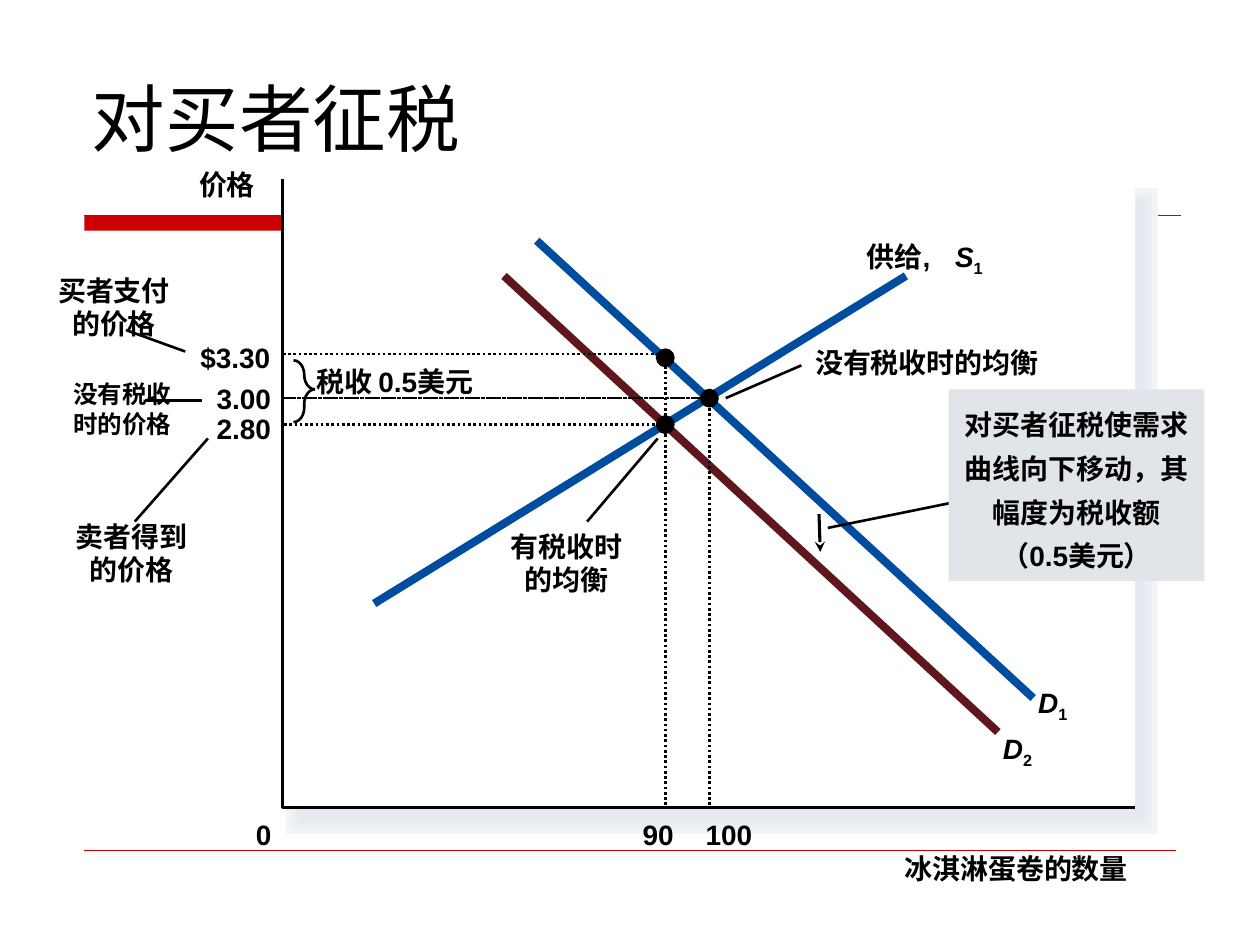
from lxml.etree import SubElement
from pptx import Presentation
from pptx.dml.color import RGBColor
from pptx.enum.dml import MSO_LINE
from pptx.enum.shapes import MSO_CONNECTOR, MSO_SHAPE
from pptx.enum.text import MSO_ANCHOR, MSO_AUTO_SIZE, PP_ALIGN
from pptx.oxml.ns import qn
from pptx.util import Inches, Pt

THEME = dict(
    ink="000000", paper="FFFFFF", accent="CC0000", callout="E1E5E9",
    blue="004C9F", maroon="5F161D",
    shadow=["F3F6F9", "F2F4F8", "F1F4F7", "F0F2F5", "EEF1F4", "EDEFF3",
            "EBEEF2", "EAECF1", "E9EBF0", "E7EAEF", "E6E9EF"],
    font="Arial", title_font="DejaVu Sans", small_font="Times New Roman",
    title=42, body=16, small=14, rule=1.5, curve=4.62,
)

TITLE = "对买者征税"
PLOT = (2.24, 1.42, 6.77, 4.99)
SHADOW = (2.39, 1.61, 6.68, 4.89)
BASE = 6.39

# Positions of the axis values
Q = {90: 5.28, 100: 5.63}
P = {3.30: 2.81, 3.00: 3.16, 2.80: 3.37}

CURVES = [  # from, to, colour
    ((4.26, 1.91), (8.2, 5.54), "blue"),
    ((4, 2.19), (7.92, 5.81), "maroon"),
    ((7.19, 2.19), (2.97, 4.79), "blue"),
]
GUIDES = [
    [(Q[90], BASE), (Q[90], P[3.30]), (PLOT[0], P[3.30])],
    [(Q[90], P[2.80]), (PLOT[0], P[2.80])],
    [(Q[100], BASE), (Q[100], P[3.00]), (PLOT[0], P[3.00])],
    [(Q[100], P[3.00]), (PLOT[0], P[3.00])],
]
DOT = 0.15
DOTS = [(Q[90], 2.84), (Q[90], P[2.80]), (Q[100], P[3.00])]
LEADERS = [
    ((1.15, 3.18), (1.6, 3.18)),
    ((1.07, 4.14), (1.65, 3.48)),
    ((5.76, 3.16), (6.36, 2.9)),
    ((1, 2.62), (1.47, 2.79)),
    ((6.57, 4.19), (7.85, 3.93)),
    ((5.22, 3.48), (4.66, 4.14)),
]
SLACK = 0.1  # extra label width that keeps each line whole
LABELS = [  # lines, (left, top, width, height), format
    (["冰淇淋蛋卷的数量"], (7.18, 6.76, 1.77, 0.27), {}),
    (["0"], (2.03, 6.49, 0.12, 0.27), {}),
    (["价格"], (1.58, 1.33, 0.44, 0.27), {}),
    (["90"], (5.1, 6.49, 0.25, 0.27), {}),
    (["100"], (5.6, 6.49, 0.37, 0.27), {}),
    (["$3.30"], (1.59, 2.7, 0.56, 0.27), {}),
    (["3.00"], (1.72, 3.03, 0.43, 0.27), {}),
    (["2.80"], (1.72, 3.27, 0.43, 0.27), {}),
    (["没有税收", "时的价格"], (0.58, 3.01, 0.78, 0.47),
     dict(size=THEME["small"], font=THEME["small_font"])),
    (["卖者得到", "的价格"], (0.6, 4.12, 0.89, 0.53), dict(align=PP_ALIGN.CENTER)),
    (["买者支付", "的价格"], (0.46, 2.17, 0.89, 0.53), dict(align=PP_ALIGN.CENTER)),
    (["有税收时", "的均衡"], (4.05, 4.2, 0.89, 0.53), dict(align=PP_ALIGN.CENTER)),
    (["没有税收时的均衡"], (6.47, 2.74, 1.77, 0.27), {}),
    (["税收 0.5美元"], (2.51, 2.89, 1.36, 0.27), {}),
    (["供给,"], (6.88, 1.9, 0.6, 0.27), {}),
    (["S"], (7.58, 1.9, 0.22, 0.3), dict(italic=True, sub="1")),
    (["D"], (8.24, 5.44, 0.23, 0.3), dict(italic=True, sub="1")),
    (["D"], (7.96, 5.81, 0.23, 0.3), dict(italic=True, sub="2")),
]
CALLOUT = ["对买者征税使需求", "曲线向下移动，其", "幅度为税收额", "（0.5美元）"]


def rgb(name):
    return RGBColor.from_string(THEME.get(name, name))


def inches(values):
    return [Inches(v) for v in values]


def write(tf, lines, size=THEME["body"], font=THEME["font"], bold=True, italic=False,
          align=PP_ALIGN.LEFT, spacing=None, sub=None):
    """Fill a text frame, one paragraph a line; sub is a subscript after the last."""
    def add_run(p, text, slanted):
        r = p.add_run()
        r.text = text
        f = r.font
        f.size, f.name, f.bold, f.italic = Pt(size), font, bold, slanted
        f.color.rgb = rgb("ink")
        return r

    for i, line in enumerate(lines):
        p = tf.add_paragraph() if i else tf.paragraphs[0]
        p.alignment = align
        if spacing:
            p.line_spacing = spacing
        add_run(p, line, italic)
    if sub:
        add_run(p, sub, False)._r.get_or_add_rPr().set("baseline", "-25000")


def set_bare(tf):
    tf.margin_left = tf.margin_top = tf.margin_right = tf.margin_bottom = 0
    tf.word_wrap = True
    tf.auto_size = MSO_AUTO_SIZE.NONE


def set_line(s, color, width, dash=None):
    s.line.color.rgb = rgb(color)
    s.line.width = Pt(width)
    if dash:
        s.line.dash_style = dash


def add_box(shapes, kind, at, fill=None, line=None, width=THEME["rule"]):
    s = shapes.add_shape(kind, *inches(at))
    s.shadow.inherit = False
    if fill:
        s.fill.solid()
        s.fill.fore_color.rgb = rgb(fill)
    else:
        s.fill.background()
    if line:
        set_line(s, line, width)
        SubElement(s.line._get_or_add_ln(), qn("a:miter"), lim="800000")
    else:
        s.line.fill.background()
    return s


def add_line(shapes, start, end, color="ink", width=THEME["rule"], dash=None):
    s = shapes.add_connector(MSO_CONNECTOR.STRAIGHT, *inches(start + end))
    set_line(s, color, width, dash)
    SubElement(s._element.spPr, qn("a:effectLst"))
    return s


def add_polyline(shapes, points, dash=None):
    start, *rest = [tuple(inches(pt)) for pt in points]
    builder = shapes.build_freeform(*start)
    builder.add_line_segments(rest, close=False)
    s = builder.convert_to_shape()
    s.shadow.inherit = False
    s.fill.background()
    set_line(s, "ink", THEME["rule"], dash)


def add_title(shapes):
    s = shapes.title
    s.left, s.top, s.width, s.height = inches((0.63, 0.33, 8.75, 1))
    tf = s.text_frame
    tf.vertical_anchor = MSO_ANCHOR.BOTTOM
    tf.auto_size = MSO_AUTO_SIZE.NONE
    write(tf, [TITLE], size=THEME["title"], font=THEME["title_font"], bold=False)


def add_backdrop(shapes):
    add_box(shapes, MSO_SHAPE.RECTANGLE, (0.67, 1.71, 5.09, 0.12), "accent")
    add_line(shapes, (0.67, 1.71), (9.37, 1.71), "accent", 0.75)
    add_line(shapes, (0.67, 6.75), (9.33, 6.75), "accent", 0.25)
    for i, color in enumerate(THEME["shadow"]):
        add_box(shapes, MSO_SHAPE.RECTANGLE, SHADOW, color, color, 17 - 1.55 * i)
    add_box(shapes, MSO_SHAPE.RECTANGLE, PLOT, "paper")
    x, y, w, h = PLOT
    add_polyline(shapes, [(x, y), (x, y + h), (x + w, y + h)])


def add_diagram(shapes):
    for start, end, color in CURVES:
        add_line(shapes, start, end, color, THEME["curve"])
    for points in GUIDES:
        if len(points) == 2:
            add_line(shapes, *points, dash=MSO_LINE.ROUND_DOT)
        else:
            add_polyline(shapes, points, MSO_LINE.ROUND_DOT)
    for x, y in DOTS:
        add_box(shapes, MSO_SHAPE.OVAL, (x - DOT / 2, y - DOT / 2, DOT, DOT), "ink")
    for start, end in LEADERS:
        add_line(shapes, start, end)
    shift = add_line(shapes, (6.51, 4.38), (6.5, 4.08), width=1.75)
    SubElement(shift.line._get_or_add_ln(), qn("a:headEnd"), type="stealth")
    brace = add_box(shapes, MSO_SHAPE.RIGHT_BRACE, (2.33, 2.86, 0.17, 0.49), line="ink")
    brace.adjustments[0], brace.adjustments[1] = 0.67, 0.47


def add_labels(shapes):
    for lines, (x, y, w, h), fmt in LABELS:
        if fmt.get("align") == PP_ALIGN.CENTER:
            x -= SLACK / 2
        tf = shapes.add_textbox(*inches((x, y, w + SLACK, h))).text_frame
        set_bare(tf)
        write(tf, lines, **fmt)
    tf = add_box(shapes, MSO_SHAPE.RECTANGLE, (7.53, 3.09, 2.03, 1.52), "callout").text_frame
    set_bare(tf)
    tf.vertical_anchor = MSO_ANCHOR.MIDDLE
    write(tf, CALLOUT, align=PP_ALIGN.CENTER, spacing=1.3)


def main():
    prs = Presentation()
    prs.slide_width, prs.slide_height = inches((10, 7.5))
    shapes = prs.slides.add_slide(prs.slide_layouts[5]).shapes
    for add_part in (add_title, add_backdrop, add_diagram, add_labels):
        add_part(shapes)
    prs.save("out.pptx")


if __name__ == "__main__":
    main()
